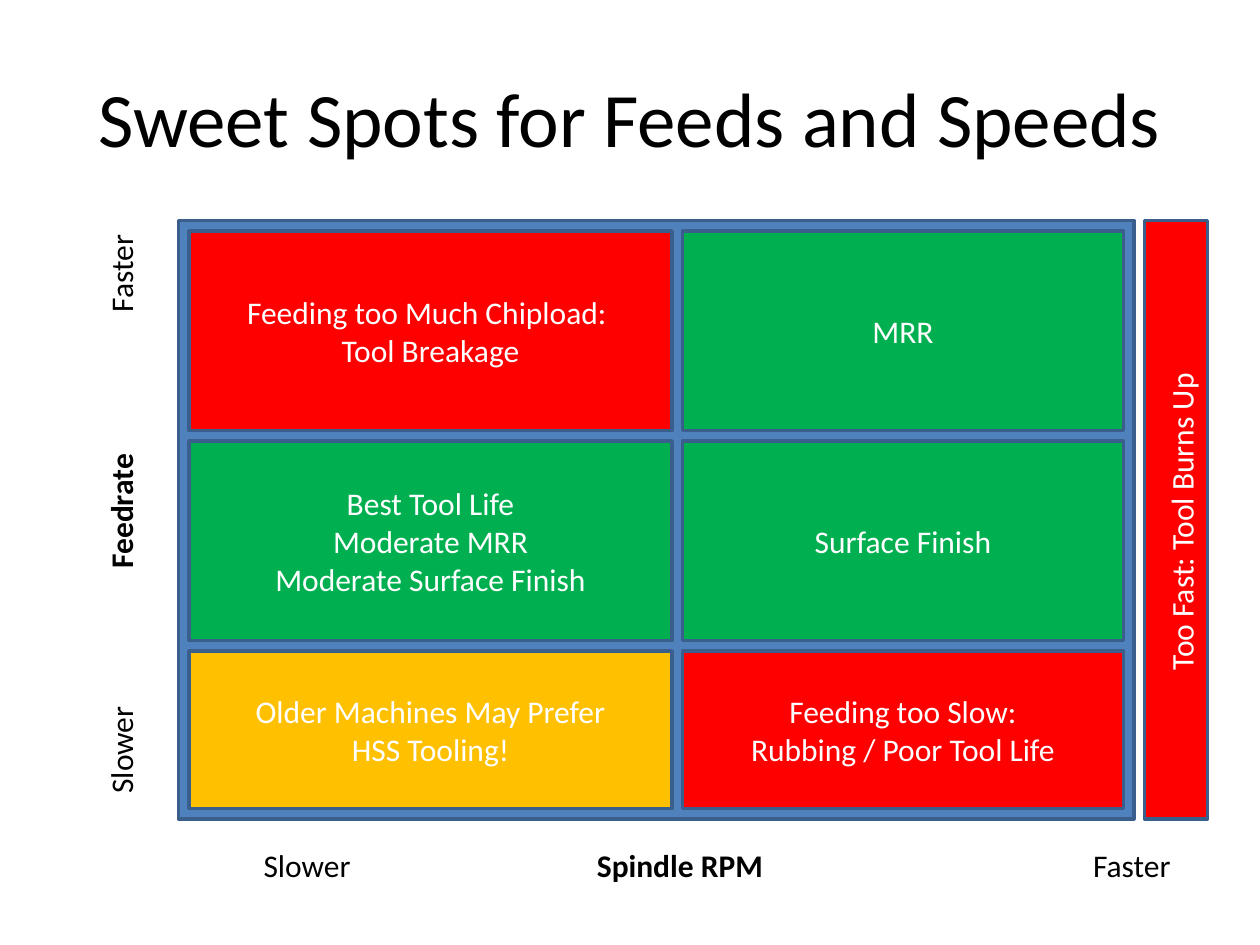
from collections import namedtuple
from pptx import Presentation
from pptx.dml.color import RGBColor
from pptx.enum import shapes, text
from pptx.util import Pt

Box = namedtuple("Box", "left top width height")

FONT = "Calibri"
WHITE, BLACK = "FFFFFF", "000000"
BLUE, EDGE = "4F81BD", "3A5F8C"
RED, GREEN, AMBER = "FF0000", "00B050", "FFC000"
GAP = 6
LABEL_HEIGHT = 29

COLUMN_WIDTHS = [276, 252]
ROW_HEIGHTS = [114, 114, 90]
ZONES = [
    [(RED, ["Feeding too Much Chipload: ", "Tool Breakage"]), (GREEN, ["MRR"])],
    [(GREEN, ["Best Tool Life", "Moderate MRR", "Moderate Surface Finish"]),
     (GREEN, ["Surface Finish"])],
    [(AMBER, ["Older Machines May Prefer", "HSS Tooling!"]),
     (RED, ["Feeding too Slow:", "Rubbing / Poor Tool Life"])],
]
# Label, width, distance of its centre along the axis, bold
FEED_LABELS = [("Faster", 59, 30, False), ("Feedrate", 80, 166, True),
               ("Slower", 65, 302, False)]
SPEED_LABELS = [("Slower", 65, 74, False), ("Spindle RPM", 110, 287, True),
                ("Faster", 59, 545, False)]


def color(value):
    return RGBColor.from_string(value)


def set_font(para, size, value, bold=False):
    para.font.name = FONT
    para.font.size = Pt(size)
    para.font.bold = bold
    para.font.color.rgb = color(value)


def add_panel(page, box, fill, lines=()):
    panel = page.shapes.add_shape(shapes.MSO_SHAPE.RECTANGLE, *map(Pt, box))
    panel.shadow.inherit = False
    panel.fill.solid()
    panel.fill.fore_color.rgb = color(fill)
    panel.line.color.rgb = color(EDGE)
    panel.line.width = Pt(2)
    frame = panel.text_frame
    frame.vertical_anchor = text.MSO_ANCHOR.MIDDLE
    for index, line in enumerate(lines):
        para = frame.add_paragraph() if index else frame.paragraphs[0]
        para.text = line
        para.alignment = text.PP_ALIGN.CENTER
        set_font(para, 18, WHITE)


def add_label(page, words, x, y, width, value=BLACK, bold=False, rotation=0):
    """Place a one-line label centred on x, y."""
    label = page.shapes.add_textbox(Pt(x - width / 2), Pt(y - LABEL_HEIGHT / 2),
                                    Pt(width), Pt(LABEL_HEIGHT))
    label.rotation = rotation
    frame = label.text_frame
    frame.word_wrap = False
    frame.auto_size = text.MSO_AUTO_SIZE.SHAPE_TO_FIT_TEXT
    para = frame.paragraphs[0]
    para.text = words
    set_font(para, 18, value, bold)


def add_title(page, box, words):
    title = page.shapes.title
    title.left, title.top, title.width, title.height = map(Pt, box)
    title.text_frame.vertical_anchor = text.MSO_ANCHOR.MIDDLE
    para = title.text_frame.paragraphs[0]
    para.text = words
    para.alignment = text.PP_ALIGN.CENTER
    set_font(para, 44, BLACK)


def add_matrix(page, box):
    add_panel(page, box, BLUE)
    top = box.top + GAP
    for height, row in zip(ROW_HEIGHTS, ZONES):
        left = box.left + GAP
        for width, (fill, lines) in zip(COLUMN_WIDTHS, row):
            add_panel(page, Box(left, top, width, height), fill, lines)
            left += width + GAP
        top += height + GAP


def add_axes(page, box):
    for words, width, along, bold in FEED_LABELS:
        add_label(page, words, box.left - 33, box.top + along, width,
                  bold=bold, rotation=270)
    for words, width, along, bold in SPEED_LABELS:
        add_label(page, words, box.left + along, box.top + box.height + 26.5,
                  width, bold=bold)


def add_limit_strip(page, box):
    add_panel(page, box, RED)
    add_label(page, "Too Fast: Tool Burns Up", box.left + box.width / 2 + 3,
              box.top + box.height / 2, 186.5, WHITE, rotation=270)


deck = Presentation()
deck.slide_width, deck.slide_height = Pt(720), Pt(540)
page = deck.slides.add_slide(deck.slide_layouts[5])  # Title Only

matrix = Box(102, 126, 546, 342)
add_title(page, Box(36, 21.6, 648, 90), "Sweet Spots for Feeds and Speeds")
add_matrix(page, matrix)
add_axes(page, matrix)
add_limit_strip(page, Box(matrix.left + matrix.width + GAP, matrix.top, 36, matrix.height))

deck.save("out.pptx")
